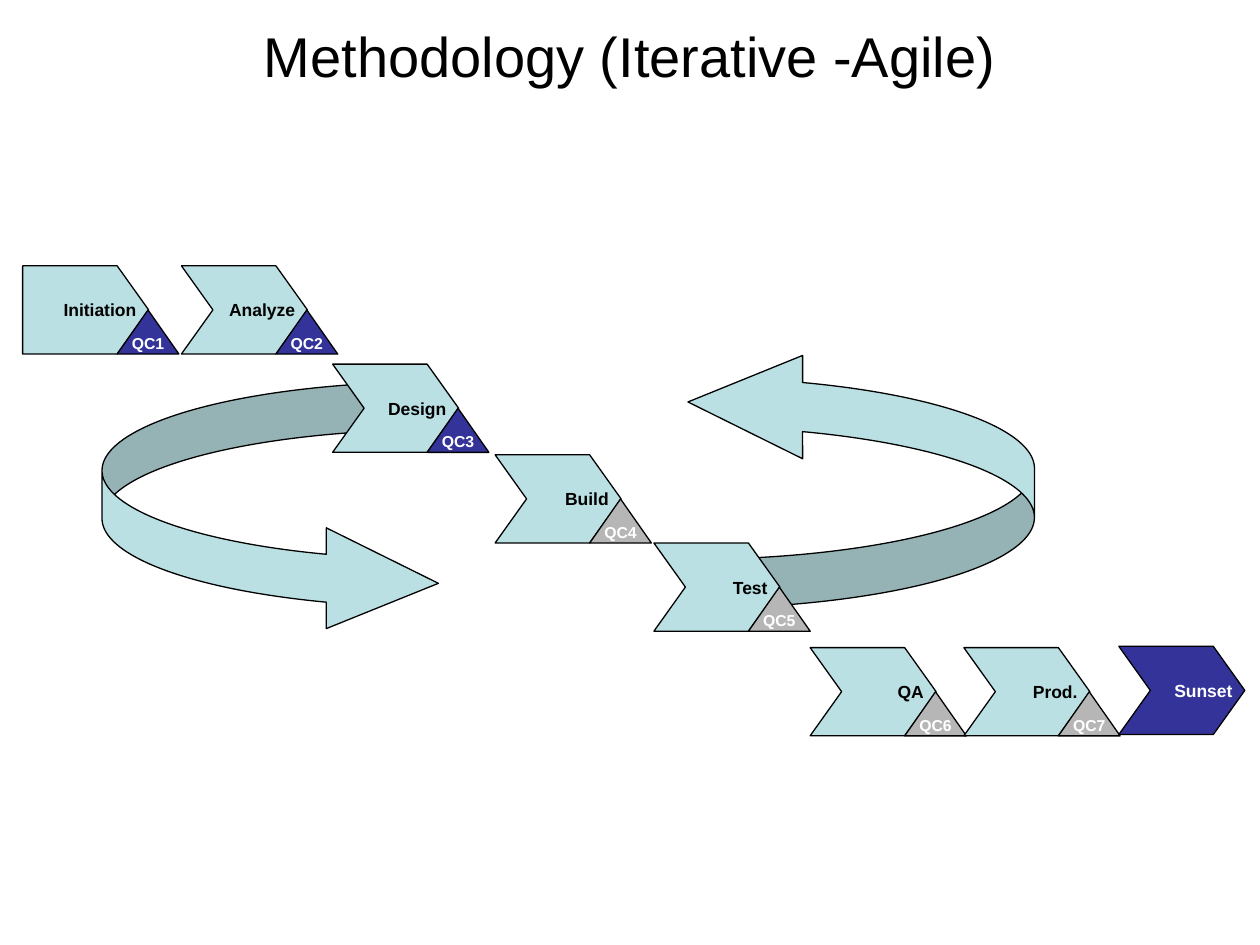
from lxml.etree import SubElement
from pptx import Presentation
from pptx.dml.color import RGBColor
from pptx.enum.shapes import MSO_SHAPE as Preset
from pptx.enum.text import MSO_ANCHOR as Anchor, PP_ALIGN as Align
from pptx.oxml.ns import qn
from pptx.util import Inches, Pt

COLORS = {
    "black": "000000",
    "white": "FFFFFF",
    "aqua": "BBE0E3",
    "navy": "333399",
    "gray": "B6B6B6",
    "shadow": "808080",
}
STEP_WIDTH, STEP_HEIGHT, POINT = 1, 0.7, 0.25
BADGE_WIDTH, BADGE_HEIGHT = 0.49, 0.35
PHASES = [
    ("Initiation", 0.18, 2.11, "QC1", "navy"),
    ("Analyze", 1.44, 2.11, "QC2", "navy"),
    ("Design", 2.64, 2.89, "QC3", "navy"),
    ("Build", 3.93, 3.61, "QC4", "gray"),
    ("Test", 5.19, 4.31, "QC5", "gray"),
    ("QA", 6.43, 5.14, "QC6", "gray"),
    ("Prod.", 7.65, 5.14, "QC7", "gray"),
    ("Sunset", 8.88, 5.13, None, None),
]


def color(name):
    return RGBColor.from_string(COLORS[name])


def write(box, text, size, ink="black", align=Align.CENTER, bold=True, wrap=False):
    frame = box.text_frame
    frame.word_wrap = wrap
    frame.vertical_anchor = Anchor.MIDDLE
    para = frame.paragraphs[0]
    para.alignment = align
    span = para.add_run()
    span.text = text
    span.font.name = "Arial"
    span.font.size = Pt(size)
    span.font.bold = bold
    span.font.color.rgb = color(ink)
    return span


def paint(shape, fill):
    shape.shadow.inherit = False
    shape.fill.solid()
    shape.fill.fore_color.rgb = color(fill)
    shape.line.color.rgb = color("black")
    shape.line.width = Pt(0.75)


def add_title(page, text):
    box = page.shapes.add_textbox(0, Inches(-0.19), Inches(10), Inches(1.25))
    span = write(box, text, 32, bold=False, wrap=True)
    effects = SubElement(span.font._element, qn("a:effectLst"))
    span.font._element.find(qn("a:solidFill")).addnext(effects)
    shadow = SubElement(effects, qn("a:outerShdw"), dist="25400", dir="2700000")
    SubElement(shadow, qn("a:srgbClr"), val=COLORS["shadow"])


def add_loop(page, left, top, width, height, shaft, head, length, rotation=0):
    loop = page.shapes.add_shape(
        Preset.CURVED_RIGHT_ARROW,
        Inches(left), Inches(top), Inches(width), Inches(height))
    paint(loop, "aqua")
    for index, size in enumerate((shaft, head, length)):
        loop.adjustments[index] = size / height
    loop.rotation = rotation


def add_step(page, text, left, top, fill="aqua", ink="black", notched=True):
    shoulder, middle, bottom = left + STEP_WIDTH - POINT, top + STEP_HEIGHT / 2, top + STEP_HEIGHT
    points = [(shoulder, top), (left + STEP_WIDTH, middle), (shoulder, bottom), (left, bottom)]
    if notched:
        points.append((left + POINT, middle))
    outline = page.shapes.build_freeform(Inches(left), Inches(top))
    outline.add_line_segments([(Inches(x), Inches(y)) for x, y in points])
    step = outline.convert_to_shape()
    paint(step, fill)
    write(step, text, 10, ink, Align.RIGHT)


def add_badge(page, text, left, top, fill):
    badge = page.shapes.add_shape(
        Preset.FLOWCHART_EXTRACT,
        Inches(left), Inches(top), Inches(BADGE_WIDTH), Inches(BADGE_HEIGHT))
    paint(badge, fill)
    write(badge, text, 9, "white")


def main():
    deck = Presentation()
    deck.slide_width, deck.slide_height = Inches(10), Inches(7.5)
    page = deck.slides.add_slide(deck.slide_layouts[6])

    add_loop(page, 5.46, 2.78, 2.75, 2.05, 0.39, 0.82, 0.91, rotation=180)
    add_loop(page, 0.81, 3.03, 2.67, 2, 0.38, 0.8, 0.89)
    add_title(page, "Methodology (Iterative -Agile)")

    for name, left, top, check, check_fill in PHASES:
        if check:
            add_step(page, name, left, top, notched=name != "Initiation")
            add_badge(page, check, left + STEP_WIDTH - POINT, top + STEP_HEIGHT / 2, check_fill)
        else:
            add_step(page, name, left, top, "navy", "white")

    deck.save("out.pptx")


if __name__ == "__main__":
    main()
